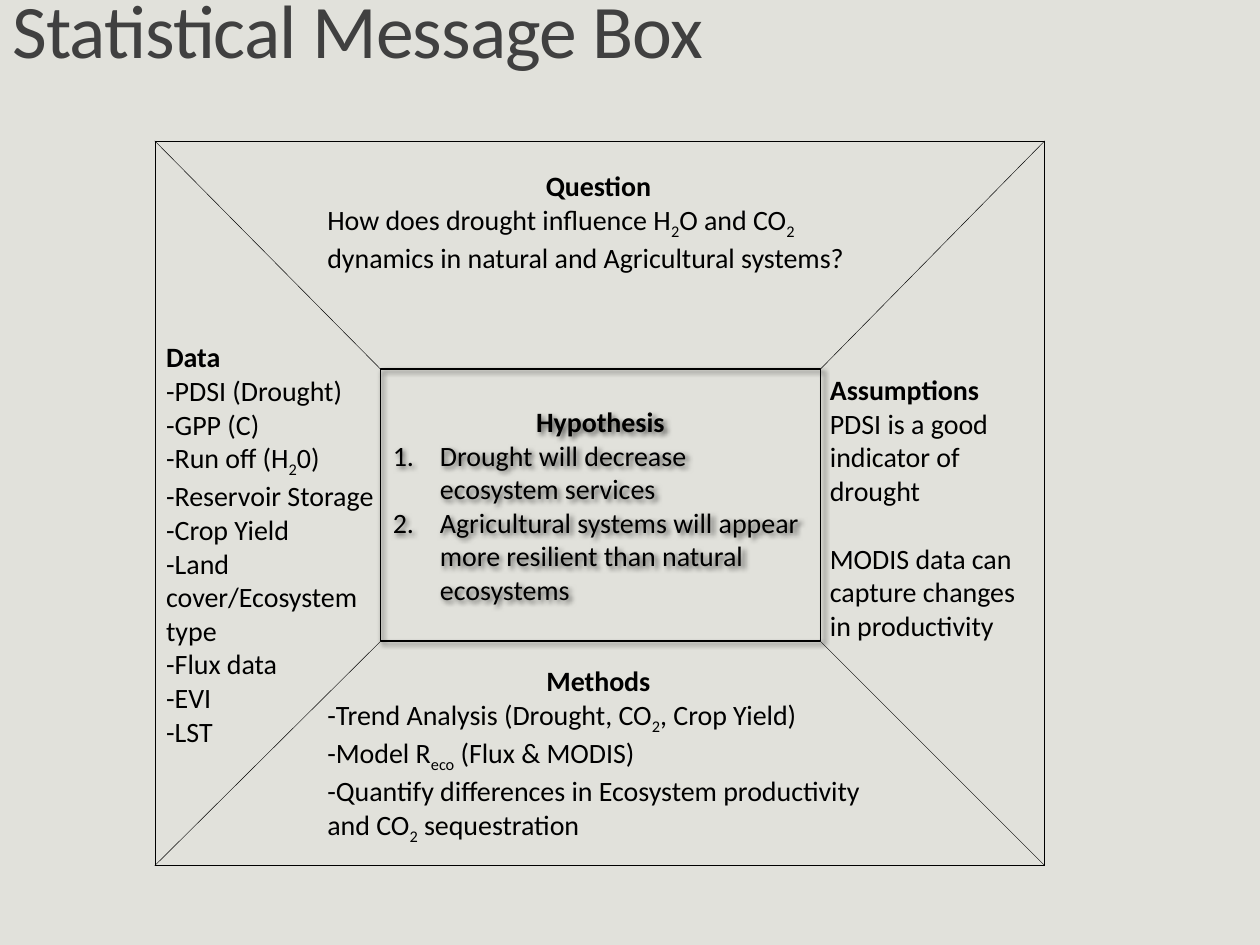
from lxml.etree import SubElement
from pptx import Presentation
from pptx.dml.color import RGBColor
from pptx.enum.shapes import MSO_CONNECTOR as Connector, MSO_SHAPE as Shape
from pptx.enum.text import MSO_ANCHOR as Anchor, MSO_AUTO_SIZE as AutoSize, PP_ALIGN as Align
from pptx.oxml.ns import qn
from pptx.util import Cm, Pt

BACKGROUND = RGBColor(0xE1, 0xE1, 0xDB)
TITLE_GREY = RGBColor(0x40, 0x40, 0x40)
BLACK = RGBColor(0, 0, 0)


def add_text(paragraph, text, size=16, bold=False, color=BLACK, align=Align.LEFT,
             space_before=0):
    """Fill a paragraph; text between underscores becomes subscript."""
    paragraph.alignment = align
    paragraph.space_before = Pt(space_before)
    for index, part in enumerate(text.split("_")):
        run = paragraph.add_run()
        run.text = part
        run.font.name = "Calibri"
        run.font.size = Pt(size)
        run.font.bold = bold
        run.font.color.rgb = color
        if index % 2:
            run._r.get_or_add_rPr().set("baseline", "-25000")


presentation = Presentation()
presentation.slide_width, presentation.slide_height = Cm(25.4), Cm(19.05)
slide = presentation.slides.add_slide(presentation.slide_layouts[6])
slide.background.fill.solid()
slide.background.fill.fore_color.rgb = BACKGROUND

# Title
title = slide.shapes.add_textbox(Cm(0), Cm(-0.08), Cm(15.01), Cm(1.7))
title.text_frame.word_wrap = True
title.text_frame.vertical_anchor = Anchor.BOTTOM
paragraph = title.text_frame.paragraphs[0]
paragraph.line_spacing = 0.85
add_text(paragraph, "Statistical Message Box", size=43.2, color=TITLE_GREY)
paragraph.runs[0]._r.get_or_add_rPr().set("spc", "-50")

# Hypothesis box with a soft shadow
left, top, right, bottom = 7.67, 7.44, 16.54, 12.93
box = slide.shapes.add_shape(Shape.RECTANGLE, Cm(left), Cm(top), Cm(right - left), Cm(bottom - top))
box.fill.background()
box.line.color.rgb = BLACK
box.line.width = Pt(1)
box.shadow.inherit = False
shadow = SubElement(box._element.spPr.find(qn("a:effectLst")), qn("a:outerShdw"),
                    blurRad=str(Pt(3)), dist=str(Pt(2)), dir="2700000", rotWithShape="0")
shadow_color = SubElement(shadow, qn("a:srgbClr"), val="000000")
SubElement(shadow_color, qn("a:alpha"), val="60000")

frame = box.text_frame
frame.word_wrap = True
frame.vertical_anchor = Anchor.MIDDLE
add_text(frame.paragraphs[0], "Hypothesis", bold=True, align=Align.CENTER)
for hypothesis in ("Drought will decrease ecosystem services",
                   "Agricultural systems will appear more resilient than natural ecosystems"):
    paragraph = frame.add_paragraph()
    add_text(paragraph, hypothesis)
    properties = paragraph._p.get_or_add_pPr()
    properties.set("marL", str(Cm(0.95)))
    properties.set("indent", str(-Cm(0.95)))
    SubElement(properties, qn("a:buFont"), typeface="+mj-lt")
    SubElement(properties, qn("a:buAutoNum"), type="arabicPeriod")

# Outer frame, and diagonals to the corners of the box
outer_corners = [(3.12, 2.84), (21.06, 2.84), (21.06, 17.45), (3.12, 17.45)]
inner_corners = [(left, top), (right, top), (right, bottom), (left, bottom)]
frame_sides = zip(outer_corners, outer_corners[1:] + outer_corners[:1])
diagonals = zip(outer_corners, inner_corners)
for start, end in [*frame_sides, *diagonals]:
    line = slide.shapes.add_connector(Connector.STRAIGHT, *map(Cm, start + end))
    line.line.color.rgb = BLACK
    line.line.width = Pt(0.25)
    SubElement(line._element.spPr, qn("a:effectLst"))

# Sections around the box: position, heading, heading alignment, lines, gap between lines
sections = [
    ((6.35, 3.28, 11.43, 2.31), "Question", Align.CENTER,
     ["How does drought influence H_2_O and CO_2_ dynamics in natural and Agricultural systems?"], 0),
    ((16.48, 7.39, 4.52, 5.74), "Assumptions", Align.LEFT,
     ["PDSI is a good indicator of drought",
      "MODIS data can capture changes in productivity"], 19.5),
    ((3.1, 6.73, 5.11, 8.46), "Data", Align.LEFT,
     ["-PDSI (Drought)", "-GPP (C)", "-Run off (H_2_0)", "-Reservoir Storage", "-Crop Yield",
      "-Land cover/Ecosystem type", "-Flux data", "-EVI", "-LST"], 0),
    ((6.35, 13.26, 11.43, 3.68), "Methods", Align.CENTER,
     ["-Trend Analysis (Drought, CO_2_, Crop Yield)", "-Model R_eco_ (Flux & MODIS)",
      "-Quantify differences in Ecosystem productivity and CO_2_ sequestration"], 0),
]
for position, heading, heading_align, lines, gap in sections:
    frame = slide.shapes.add_textbox(*map(Cm, position)).text_frame
    frame.word_wrap = True
    frame.auto_size = AutoSize.SHAPE_TO_FIT_TEXT
    add_text(frame.paragraphs[0], heading, bold=True, align=heading_align)
    for index, text in enumerate(lines):
        add_text(frame.add_paragraph(), text, space_before=gap if index else 0)

presentation.save("out.pptx")
